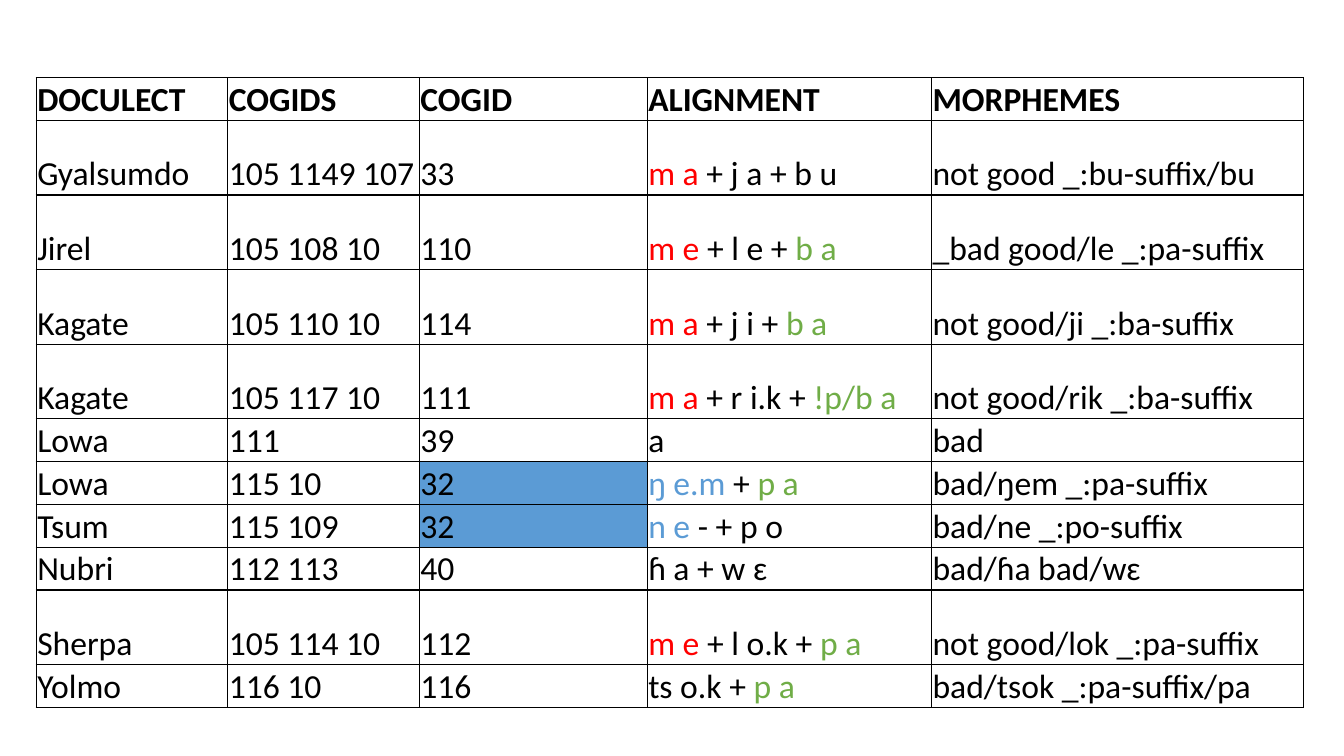
from collections import Counter
from dataclasses import dataclass

from lxml.etree import SubElement
from pptx import Presentation
from pptx.dml.color import RGBColor
from pptx.enum.text import MSO_ANCHOR
from pptx.oxml import parse_xml
from pptx.oxml.ns import nsdecls, qn
from pptx.util import Inches, Pt

# Content: an alignment is a list of (text, role) spans
HEADER = ("DOCULECT", "COGIDS", "COGID", "ALIGNMENT", "MORPHEMES")
WORDS = [
    ("Gyalsumdo", "105 1149 107", "33",
     [("m a", "negation"), (" + j a + b u", "text")], "not good _:bu-suffix/bu"),
    ("Jirel", "105 108 10", "110",
     [("m e", "negation"), (" + l e + ", "text"), ("b a", "suffix")],
     "_bad good/le _:pa-suffix"),
    ("Kagate", "105 110 10", "114",
     [("m a", "negation"), (" + j i + ", "text"), ("b a", "suffix")],
     "not good/ji _:ba-suffix"),
    ("Kagate", "105 117 10", "111",
     [("m a", "negation"), (" + r i.k + ", "text"), ("!p/b a", "suffix")],
     "not good/rik _:ba-suffix"),
    ("Lowa", "111", "39", [("a", "text")], "bad"),
    ("Lowa", "115 10", "32",
     [("ŋ e.m", "cognate"), (" + ", "text"), ("p a", "suffix")],
     "bad/ŋem _:pa-suffix"),
    ("Tsum", "115 109", "32",
     [("n e", "cognate"), (" - + p o", "text")], "bad/ne _:po-suffix"),
    ("Nubri", "112 113", "40", [("ɦ a + w ɛ", "text")], "bad/ɦa bad/wɛ"),
    ("Sherpa", "105 114 10", "112",
     [("m e", "negation"), (" + l o.k + ", "text"), ("p a", "suffix")],
     "not good/lok _:pa-suffix"),
    ("Yolmo", "116 10", "116",
     [("ts o.k + ", "text"), ("p a", "suffix")], "bad/tsok _:pa-suffix/pa"),
]


@dataclass(frozen=True)
class Theme:
    font: str = "Calibri"
    size: int = 24
    border: int = 1
    text: str = "000000"
    negation: str = "FF0000"
    suffix: str = "70AD47"
    cognate: str = "5B9BD5"

    def color(self, role):
        return RGBColor.from_string(getattr(self, role))


THEME = Theme()

# Grid, in inches
LEFT, TOP = 0.36, 0.77
COLUMNS = (1.9, 1.9, 2.26, 2.82, 3.69)
LOW_ROW, TALL_ROW = 0.425, 0.74
INSET = 0.01


def row_height(cogids):
    """Words of three morphemes get a tall row."""
    return TALL_ROW if len(cogids.split()) == 3 else LOW_ROW


def add_borders(cell):
    properties = cell._tc.get_or_add_tcPr()
    for position, side in enumerate(("lnL", "lnR", "lnT", "lnB")):
        line = parse_xml(f'<a:{side} {nsdecls("a")} w="{Pt(THEME.border)}"/>')
        fill = SubElement(line, qn("a:solidFill"))
        SubElement(fill, qn("a:srgbClr"), val=THEME.text)
        properties.insert(position, line)


def write_cell(cell, content, bold=False, shaded=False):
    cell.vertical_anchor = MSO_ANCHOR.BOTTOM
    cell.margin_left = cell.margin_right = cell.margin_top = Inches(INSET)
    cell.margin_bottom = 0
    if shaded:
        cell.fill.solid()
        cell.fill.fore_color.rgb = THEME.color("cognate")
    else:
        cell.fill.background()
    add_borders(cell)

    para = cell.text_frame.paragraphs[0]
    para.font.name, para.font.size, para.font.bold = THEME.font, Pt(THEME.size), bold
    spans = [(content, "text")] if isinstance(content, str) else content
    for text, role in spans:
        span = para.add_run()
        span.text = text
        span.font.color.rgb = THEME.color(role)


def main():
    deck = Presentation()
    deck.slide_width, deck.slide_height = Inches(13.33), Inches(7.5)
    page = deck.slides.add_slide(deck.slide_layouts[6])

    # Table frame
    heights = [LOW_ROW] + [row_height(word[1]) for word in WORDS]
    table = page.shapes.add_table(
        len(heights), len(COLUMNS), Inches(LEFT), Inches(TOP),
        Inches(sum(COLUMNS)), Inches(sum(heights))).table
    table.first_row = table.horz_banding = False
    for column, width in zip(table.columns, COLUMNS):
        column.width = Inches(width)
    for row, height in zip(table.rows, heights):
        row.height = Inches(height)

    # Cells: a COGID shared by several words is shaded
    cogid_column = HEADER.index("COGID")
    uses = Counter(word[cogid_column] for word in WORDS)
    for r, entry in enumerate([HEADER, *WORDS]):
        for c, content in enumerate(entry):
            shaded = c == cogid_column and uses[content] > 1
            write_cell(table.cell(r, c), content, bold=r == 0, shaded=shaded)

    deck.save("out.pptx")


if __name__ == "__main__":
    main()
